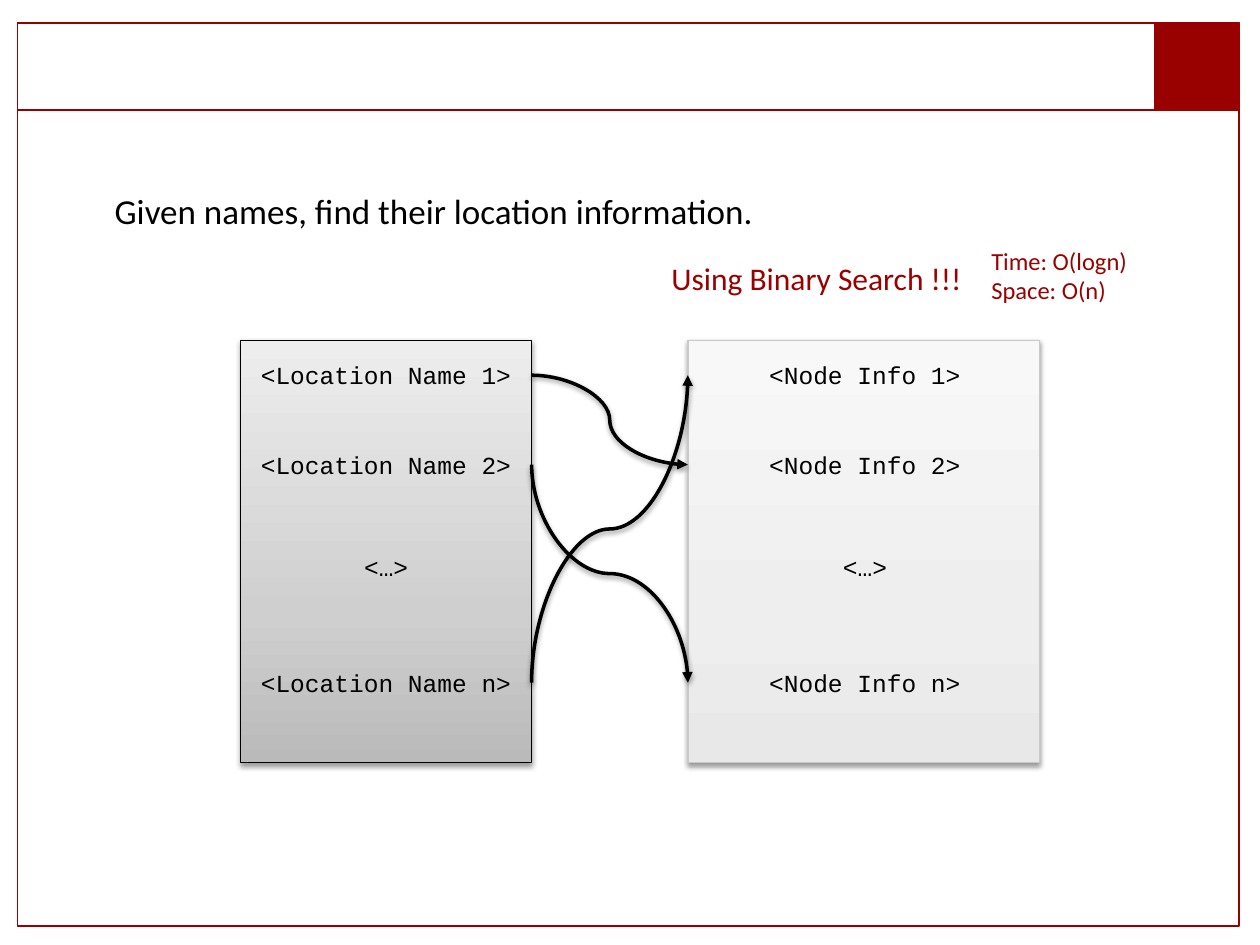
from copy import deepcopy

from lxml import etree
from pptx import Presentation
from pptx.dml.color import RGBColor
from pptx.enum import shapes, text
from pptx.oxml.ns import qn
from pptx.util import Pt

RED, BLACK = "990000", "000000"
ROW_HEIGHT = 24.2
ROW_TOPS = [202.3, 253.4, 311.8, 378]
PANEL_TOP, PANEL_HEIGHT = 194.4, 241.2
NAMES_LEFT, NAMES_WIDTH = 137.5, 166.3
NODES_LEFT, NODES_WIDTH = 393.1, 200.9


def color(value):
    return RGBColor.from_string(value)


def child(parent, tag, **attributes):
    element = etree.SubElement(parent, qn(tag))
    for name, value in attributes.items():
        element.set(name, str(value))
    return element


def add_soft_shadow(shape):
    effects = child(shape._element.spPr, "a:effectLst")
    shadow = child(effects, "a:outerShdw", blurRad=Pt(3.1), dist=Pt(1.6),
                   dir=5400000, rotWithShape=0)
    child(child(shadow, "a:srgbClr", val=BLACK), "a:alpha", val=38000)


def write(box, content, size=14, font="Calibri", ink=BLACK,
          align=text.PP_ALIGN.LEFT):
    frame = box.text_frame
    frame.word_wrap = True
    frame.auto_size = text.MSO_AUTO_SIZE.SHAPE_TO_FIT_TEXT
    frame.vertical_anchor = text.MSO_ANCHOR.TOP
    frame.text = content
    for para in frame.paragraphs:
        para.alignment = align
        for span in para.runs:
            span.font.size = Pt(size)
            span.font.name = font
            span.font.color.rgb = color(ink)


def add_text(page, left, top, width, height, content, **style):
    box = page.shapes.add_textbox(Pt(left), Pt(top), Pt(width), Pt(height))
    write(box, content, **style)


def add_rectangle(page, left, top, width, height, line, weight, fill=None):
    box = page.shapes.add_shape(shapes.MSO_SHAPE.RECTANGLE, Pt(left), Pt(top),
                                Pt(width), Pt(height))
    box.line.color.rgb = color(line)
    box.line.width = Pt(weight)
    if fill:
        box.fill.solid()
        box.fill.fore_color.rgb = color(fill)
    else:
        box.fill.background()
    return box


def add_panel(page, left, width, line, tones):
    """Draw a shadowed panel whose three tones run from bottom to top."""
    panel = add_rectangle(page, left, PANEL_TOP, width, PANEL_HEIGHT, line, 0.75)
    panel.fill.gradient()
    panel.fill.gradient_angle = 90
    stops = panel._element.spPr.find(".//" + qn("a:gsLst"))
    stops.append(deepcopy(stops[-1]))
    for stop, position, tone in zip(panel.fill.gradient_stops, (0, 0.35, 1), tones):
        stop.position = position
        stop.color.rgb = color(tone)
    add_soft_shadow(panel)


def add_curve(page, start_row, end_row, upright=False):
    """Link a name row to a node row; an upright curve leaves vertically."""
    x1, x2 = NAMES_LEFT + NAMES_WIDTH, NODES_LEFT
    y1, y2 = (ROW_TOPS[row] + ROW_HEIGHT / 2 for row in (start_row, end_row))
    if upright:  # ends before a quarter turn about the centre
        middle_x, middle_y = (x1 + x2) / 2, (y1 + y2) / 2
        half_x, half_y = (x2 - x1) / 2, (y2 - y1) / 2
        x1, x2 = middle_x + half_y, middle_x - half_y
        y1, y2 = middle_y - half_x, middle_y + half_x
    curve = page.shapes.add_connector(shapes.MSO_CONNECTOR.CURVE,
                                      Pt(x1), Pt(y1), Pt(x2), Pt(y2))
    if upright:
        curve._element.spPr.find(qn("a:xfrm")).set("rot", str(270 * 60000))
    curve.line.color.rgb = color(BLACK)
    curve.line.width = Pt(2)
    child(curve.line._get_or_add_ln(), "a:tailEnd", type="triangle")
    add_soft_shadow(curve)


def add_frame(page):
    for left, width, height, fill in ((10, 698, 516, None), (10, 698, 50, None),
                                      (660, 48, 50, RED)):
        box = add_rectangle(page, left, 13, width, height, RED, 1, fill)
        box.shadow.inherit = False


def add_statement(page, content):
    title = page.shapes.title
    title.left, title.top = Pt(58.3), Pt(104.4)
    title.width, title.height = Pt(536.4), Pt(31.7)
    write(title, content, size=20)


def main():
    deck = Presentation()
    deck.slide_width, deck.slide_height = Pt(720), Pt(540)
    page = deck.slides.add_slide(deck.slide_layouts[5])

    add_frame(page)
    add_statement(page, "Given names, find their location information.")
    add_panel(page, NAMES_LEFT, NAMES_WIDTH, BLACK, ("BABABA", "CFCFCF", "EDEDED"))
    add_panel(page, NODES_LEFT, NODES_WIDTH, "C9C9C9", ("E8E8E8", "EEEEEE", "F8F8F8"))

    for left, label in ((NAMES_LEFT, "Location Name"), (411.1, "Node Info")):
        rows = (f"<{label} 1>", f"<{label} 2>", "<…>", f"<{label} n>")
        for top, row in zip(ROW_TOPS, rows):
            add_text(page, left, top, NAMES_WIDTH, ROW_HEIGHT, row,
                     font="Courier New", align=text.PP_ALIGN.CENTER)

    add_curve(page, 0, 1)
    add_curve(page, 1, 3, upright=True)
    add_curve(page, 3, 0, upright=True)

    add_text(page, 376.6, 144.7, 224.6, 29, "Using Binary Search !!!",
             size=18, ink=RED)
    add_text(page, 559.4, 136.8, 122.4, 41, "Time: O(logn)\nSpace: O(n)", ink=RED)
    deck.save("out.pptx")


if __name__ == "__main__":
    main()
